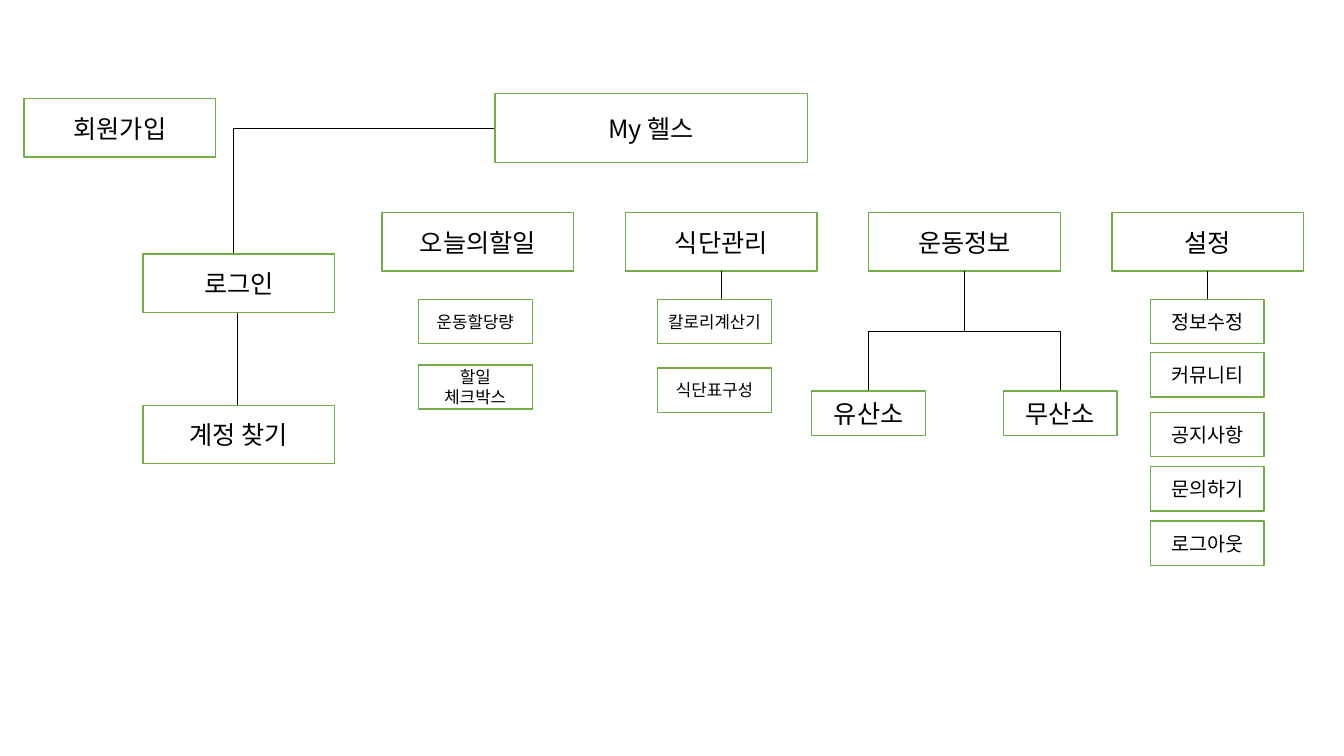
from lxml.etree import SubElement
from pptx import Presentation
from pptx.dml.color import RGBColor
from pptx.enum.shapes import MSO_CONNECTOR as CONN, MSO_SHAPE as SHAPE
from pptx.enum.text import MSO_ANCHOR as ANCHOR, PP_ALIGN as ALIGN
from pptx.oxml.ns import qn
from pptx.util import Inches, Pt

FONT = "Noto Sans CJK KR"
GREEN, BLACK, WHITE = "70AD47", "000000", "FFFFFF"
MENU_W, MENU_H = 1.9, 0.58
ITEM_W, ITEM_H = 1.13, 0.44


def paint(color_format, value):
    """Apply a hex colour to a fill, line or font."""
    color_format.rgb = RGBColor.from_string(value)


def node(s, text, x, y, w=MENU_W, h=MENU_H, size=18):
    """Draw one labelled box of the site map."""
    sp = s.shapes.add_shape(SHAPE.RECTANGLE, Inches(x), Inches(y), Inches(w), Inches(h))
    sp.shadow.inherit = False
    sp.fill.solid()
    paint(sp.fill.fore_color, WHITE)
    paint(sp.line.color, GREEN)
    sp.line.width = Pt(1)
    tf = sp.text_frame
    tf.word_wrap = True
    tf.vertical_anchor = ANCHOR.MIDDLE
    p = tf.paragraphs[0]
    p.text = text
    p.alignment = ALIGN.CENTER
    p.font.size = Pt(size)
    p.font.name = FONT
    paint(p.font.color, BLACK)
    defaults = p._p.pPr.find(qn("a:defRPr"))
    SubElement(defaults, qn("a:ea")).set("typeface", FONT)


def link(s, x1, y1, x2, y2, kind=CONN.STRAIGHT):
    """Draw a thin black connector between two points."""
    line = s.shapes.add_connector(kind, Inches(x1), Inches(y1), Inches(x2), Inches(y2))
    paint(line.line.color, BLACK)
    line.line.width = Pt(0.5)
    SubElement(line._element.spPr, qn("a:effectLst"))
    return line


def branch(s, x1, y1, x2, y2):
    """Draw an elbow that leaves downwards, turns halfway and ends downwards."""
    drop, span = y2 - y1, abs(x2 - x1)
    left, top = (x1 + x2 - drop) / 2, (y1 + y2 - span) / 2
    ends, degrees = ((left, left + drop), 90) if x2 < x1 else ((left + drop, left), 270)
    line = link(s, ends[0], top, ends[1], top + span, CONN.ELBOW)
    line._element.spPr.find(qn("a:xfrm")).set("rot", str(degrees * 60000))


def account_region(s, x, y):
    """Place the title, sign-up, login and account search boxes."""
    login_x, trunk_x, title_x = x + 1.18, x + 2.07, x + 4.67
    link(s, title_x, y + 0.34, trunk_x, y + 0.34)
    link(s, trunk_x, y + 0.34, trunk_x, y + 1.59)
    link(s, x + 2.11, y + 2.17, x + 2.11, y + 3.09)
    node(s, "My 헬스", title_x, y, 3.1, 0.68)
    node(s, "회원가입", x, y + 0.05)
    node(s, "로그인", login_x, y + 1.59)
    node(s, "계정 찾기", login_x, y + 3.09)


def menu_column(s, x, y, title, items, offsets, size, inset=0.38, linked=True):
    """Place a menu box with its items stacked beneath it."""
    node(s, title, x, y)
    if linked:
        link(s, x + MENU_W / 2, y + MENU_H, x + MENU_W / 2, y + offsets[0])
    for item, offset in zip(items, offsets):
        node(s, item, x + inset, y + offset, ITEM_W, ITEM_H, size)


def exercise_column(s, x, y):
    """Place the exercise menu with its two branches."""
    node(s, "운동정보", x, y)
    for label, end_x in (("유산소", x), ("무산소", x + MENU_W)):
        branch(s, x + MENU_W / 2, y + MENU_H, end_x, y + 1.77)
        node(s, label, end_x - ITEM_W / 2, y + 1.77, ITEM_W, ITEM_H)


def site_map(prs):
    """Build the site map slide."""
    s = prs.slides.add_slide(prs.slide_layouts[6])
    account_region(s, 0.24, 0.93)
    y = 2.11
    today, diet, exercise, settings = [3.79 + 2.413 * i for i in range(4)]
    menu_column(s, today, y, "오늘의할일", ["운동할당량", "할일 체크박스"],
                [0.86, 1.51], 12, inset=0.36, linked=False)
    menu_column(s, diet, y, "식단관리", ["칼로리계산기", "식단표구성"],
                [0.86, 1.54], 12, inset=0.32)
    exercise_column(s, exercise, y)
    menu_column(s, settings, y, "설정",
                ["정보수정", "커뮤니티", "공지사항", "문의하기", "로그아웃"],
                [0.86, 1.39, 1.98, 2.52, 3.06], 14)


prs = Presentation()
prs.slide_width, prs.slide_height = Inches(13.33), Inches(7.5)
site_map(prs)
prs.save("out.pptx")
